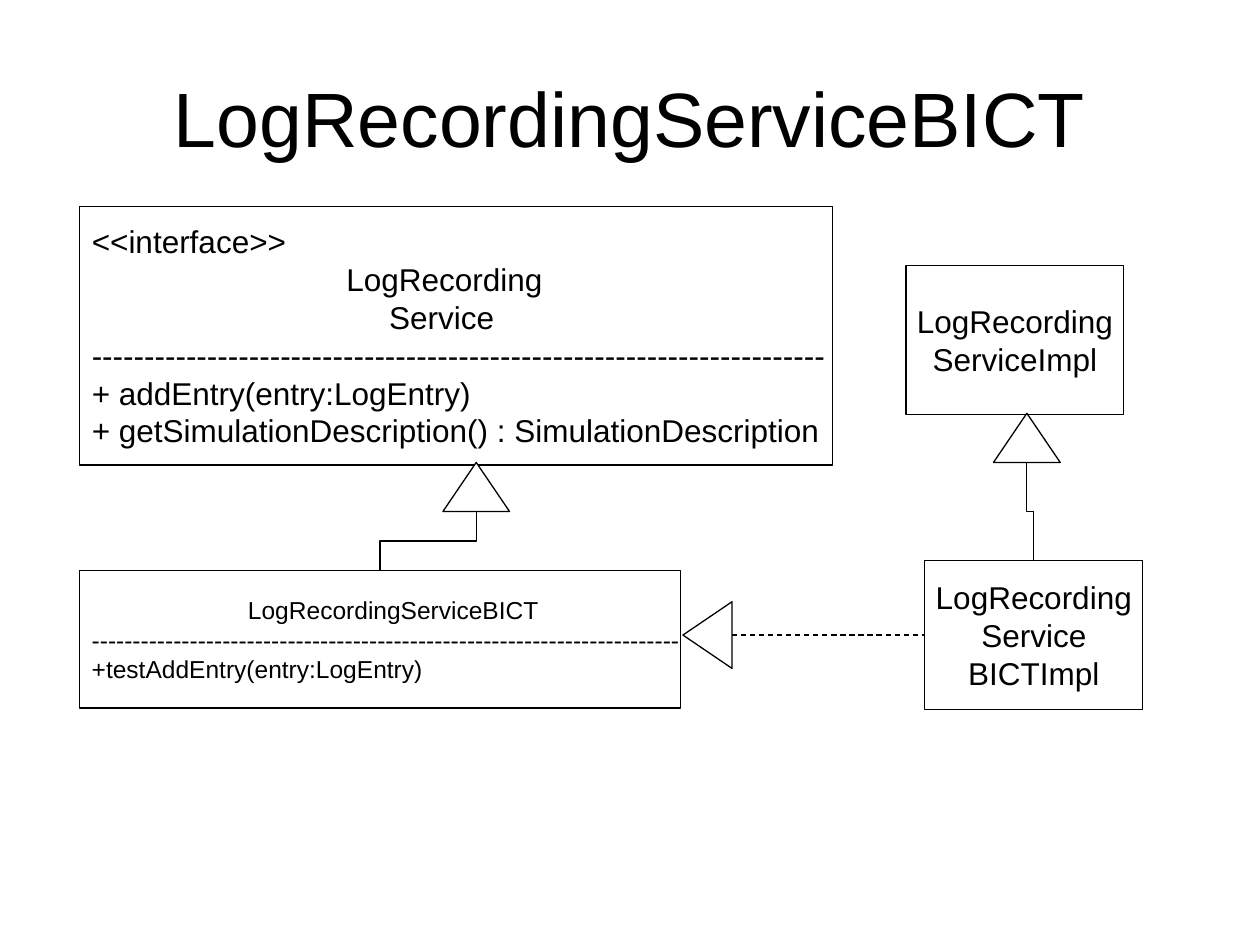
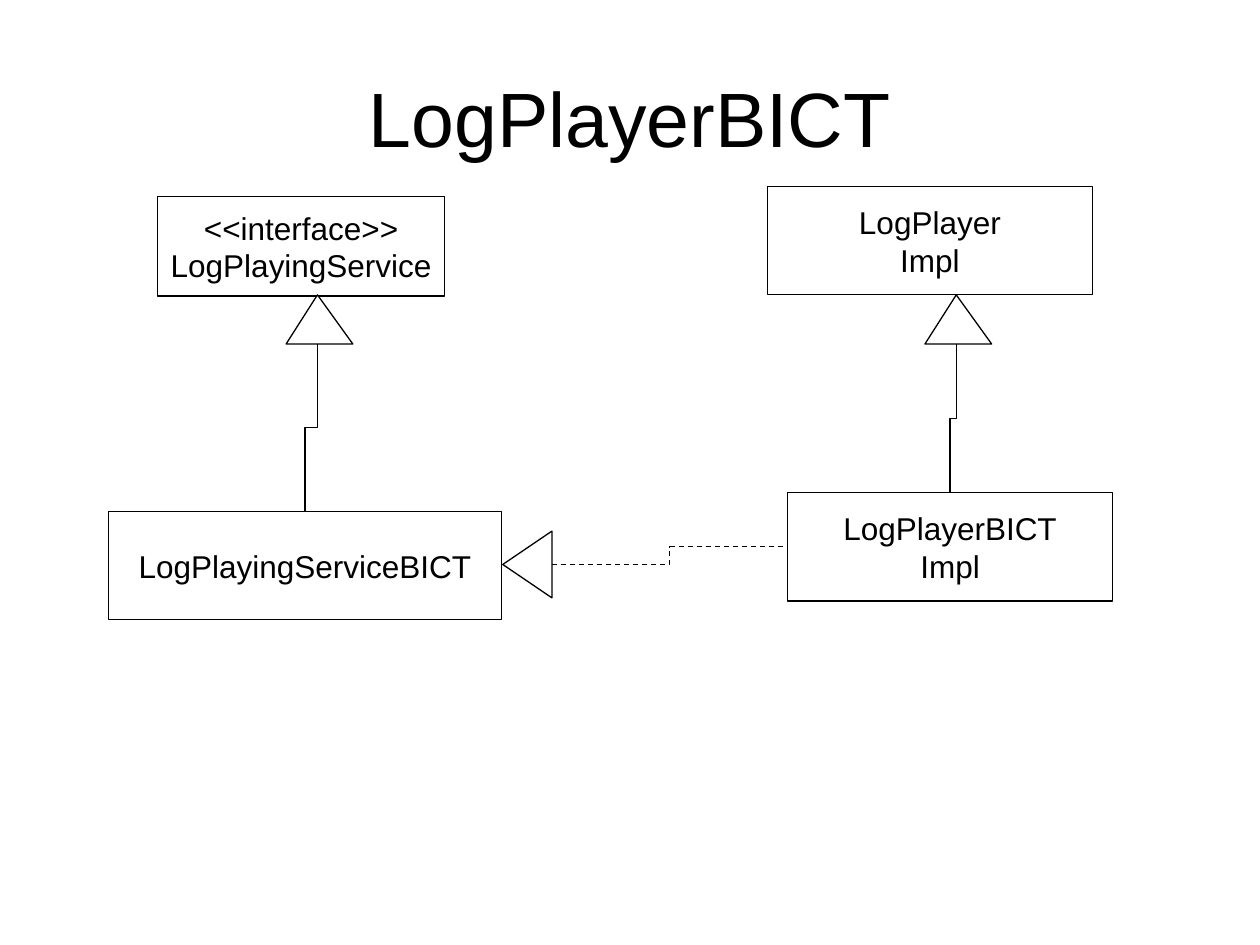
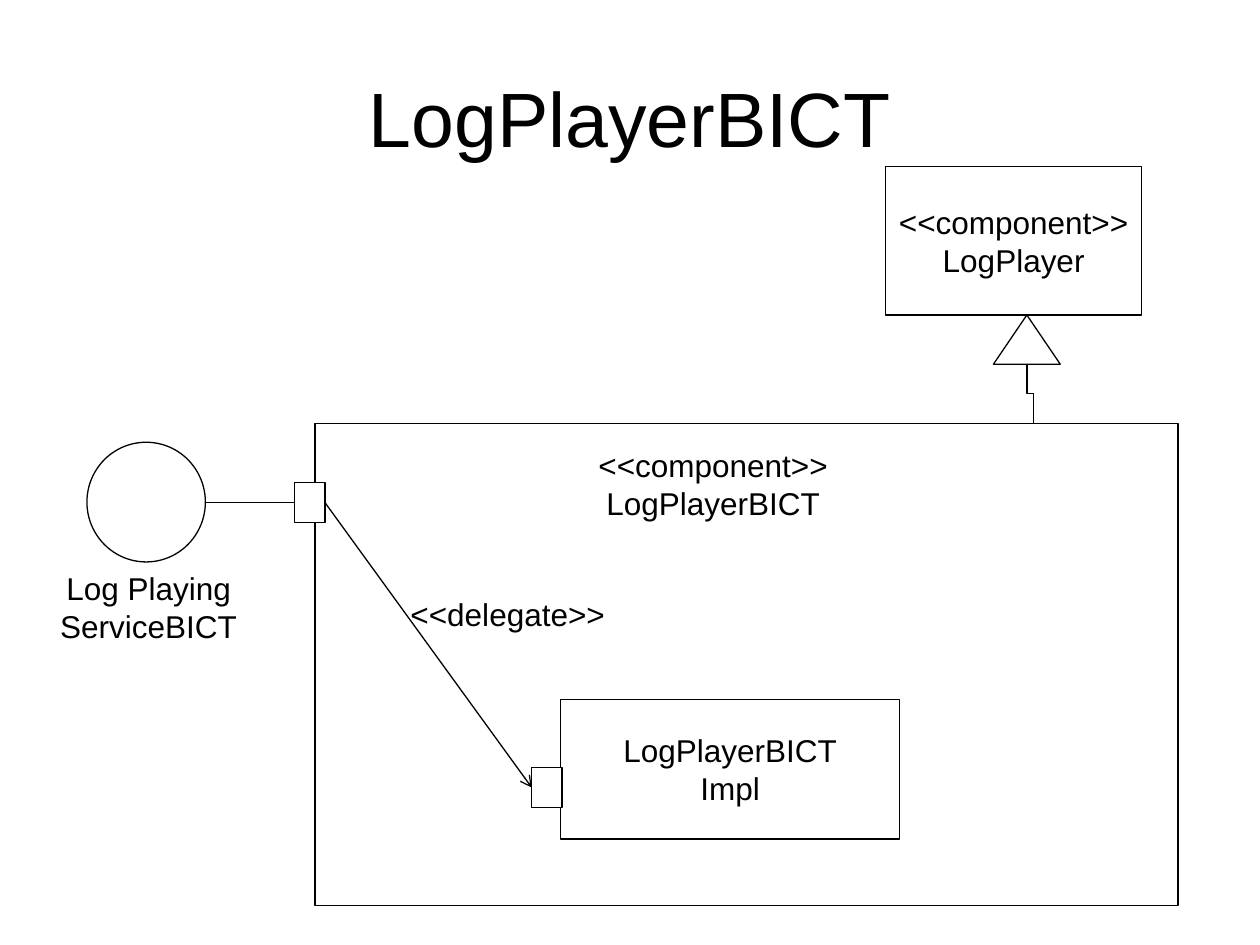
from dataclasses import dataclass
from typing import Any

from lxml import etree
from pptx import Presentation
from pptx import util as u
from pptx.dml.color import RGBColor
from pptx.enum import dml, shapes, text
from pptx.oxml.ns import qn

INK = RGBColor(0, 0, 0)
PAPER = RGBColor(255, 255, 255)
FONT = "Arial"
HAIR = u.Pt(0.75)
BASE, RISE = 0.53, 0.39
KIND = shapes.MSO_SHAPE
LINK = shapes.MSO_CONNECTOR
MID = text.PP_ALIGN.CENTER
LEFT = text.PP_ALIGN.LEFT


def write(frame, lines, size=18, align=MID, pads=None):
    for row, line in enumerate(lines):
        para = frame.paragraphs[0] if row == 0 else frame.add_paragraph()
        para.alignment = align
        if pads and row in pads:
            props = para._p.get_or_add_pPr()
            props.set("marL", str(u.Inches(pads[row])))
            props.set("indent", "0")
        run = para.add_run()
        run.text = line
        run.font.name = FONT
        run.font.size = u.Pt(size)
        run.font.color.rgb = INK


def start(deck, title):
    slide = deck.slides.add_slide(deck.slide_layouts[5])
    head = slide.shapes.title
    head.left, head.top = u.Inches(0.5), u.Inches(0.3)
    head.width, head.height = u.Inches(9), u.Inches(1.25)
    head.text_frame.vertical_anchor = text.MSO_ANCHOR.MIDDLE
    write(head.text_frame, [title], 44)
    return slide


@dataclass
class Pane:
    slide: Any
    left: float
    top: float

    def spot(self, x, y):
        return u.Inches(self.left + x), u.Inches(self.top + y)

    def shape(self, x, y, wide, high, kind=KIND.RECTANGLE):
        item = self.slide.shapes.add_shape(
            kind, *self.spot(x, y), u.Inches(wide), u.Inches(high))
        item.shadow.inherit = False
        item.fill.solid()
        item.fill.fore_color.rgb = PAPER
        item.line.color.rgb = INK
        item.line.width = HAIR
        return item

    def block(self, x, y, wide, high, lines, **style):
        item = self.shape(x, y, wide, high)
        frame = item.text_frame
        frame.word_wrap = False
        frame.vertical_anchor = text.MSO_ANCHOR.MIDDLE
        write(frame, lines, **style)
        return item

    def label(self, x, y, wide, high, lines, wrap=False):
        item = self.slide.shapes.add_textbox(
            *self.spot(x, y), u.Inches(wide), u.Inches(high))
        frame = item.text_frame
        frame.word_wrap = wrap
        frame.auto_size = text.MSO_AUTO_SIZE.SHAPE_TO_FIT_TEXT
        write(frame, lines)

    def link(self, kind, x1, y1, x2, y2):
        line = self.slide.shapes.add_connector(
            kind, *(u.Emu(int(n)) for n in (x1, y1, x2, y2)))
        etree.SubElement(line._element.spPr, qn("a:effectLst"))
        line.line.color.rgb = INK
        line.line.width = HAIR
        return line

    def rise(self, x, y, goal, peak=0.5):
        tip = self.shape(x - BASE * peak, y, BASE, RISE, KIND.ISOSCELES_TRIANGLE)
        tip.adjustments[0] = peak
        x1, y1 = self.spot(x, y + RISE)
        x2, y2 = goal
        turn = 1 if x1 > x2 else -1
        half = turn * (y2 - y1) / 2
        side = turn * (x2 - x1) / 2
        cx, cy = (x1 + x2) / 2, (y1 + y2) / 2
        line = self.link(LINK.ELBOW, cx - half, cy + side, cx + half, cy - side)
        angle = 90 if turn == 1 else 270
        line._element.spPr.find(qn("a:xfrm")).set("rot", str(angle * 60000))

    def reach(self, x, y, item, kind):
        tip = self.shape(x + (RISE - BASE) / 2, y - RISE / 2, BASE, RISE,
                         KIND.ISOSCELES_TRIANGLE)
        tip.rotation = 270
        line = self.link(kind, *self.spot(x + RISE, y),
                         item.left, item.top + item.height / 2)
        line.line.dash_style = dml.MSO_LINE.DASH
        if kind == LINK.STRAIGHT:
            line.end_connect(item, 1)


def crown(item):
    return item.left + item.width / 2, item.top


def record(pane):
    test = pane.block(0, 2.89, 4.77, 1.09, [
        "LogRecordingServiceBICT",
        "-" * 72,
        "+testAddEntry(entry:LogEntry)",
    ], size=14, align=LEFT, pads={0: 1.24})
    pane.block(0, 0, 5.98, 2.05, [
        "<<interface>>",
        "LogRecording",
        "Service",
        "-" * 70,
        "+ addEntry(entry:LogEntry)",
        "+ getSimulationDescription() : SimulationDescription",
    ], align=LEFT, pads={1: 2.02, 2: 2.36})
    child = pane.block(6.71, 2.81, 1.73, 1.18,
                       ["LogRecording", "Service", "BICTImpl"])
    pane.block(6.56, 0.47, 1.73, 1.18, ["LogRecording", "ServiceImpl"])
    pane.rise(3.15, 2.03, crown(test))
    pane.rise(7.52, 1.64, crown(child))
    pane.reach(4.79, 3.4, child, LINK.STRAIGHT)


def player(pane):
    pane.block(5.23, 0, 2.58, 0.86, ["LogPlayer", "Impl"])
    child = pane.block(5.39, 2.43, 2.58, 0.86, ["LogPlayerBICT", "Impl"])
    test = pane.block(0, 2.58, 3.12, 0.86, ["LogPlayingServiceBICT"])
    pane.block(0.39, 0.08, 2.28, 0.79, ["<<interface>>", "LogPlayingService"])
    pane.rise(1.66, 0.86, crown(test), 0.47)
    pane.rise(6.73, 0.86, crown(child), 0.47)
    pane.reach(3.13, 3, child, LINK.ELBOW)


def parts(pane):
    pane.shape(2.12, 2.04, 6.85, 3.83)
    pane.shape(0.31, 2.19, 0.94, 0.95, KIND.OVAL)
    pane.label(0, 3.15, 1.6, 0.7, ["Log Playing", "ServiceBICT"])
    outer = pane.shape(1.96, 2.51, 0.24, 0.32)
    stem = pane.link(LINK.STRAIGHT, *pane.spot(1.25, 2.67), *pane.spot(1.96, 2.67))
    stem.end_connect(outer, 1)
    pane.label(2.78, 2.17, 5, 0.7, ["<<component>>", "LogPlayerBICT"], True)
    pane.block(4.07, 4.23, 2.69, 1.11, ["LogPlayerBICT", "Impl"])
    inner = pane.shape(3.84, 4.77, 0.24, 0.32)
    arrow = pane.link(LINK.STRAIGHT, *pane.spot(2.2, 2.67), *pane.spot(3.84, 4.93))
    arrow.begin_connect(outer, 3)
    arrow.end_connect(inner, 1)
    etree.SubElement(arrow.line._get_or_add_ln(), qn("a:tailEnd"), type="arrow")
    pane.label(2.78, 3.35, 1.74, 0.4, ["<<delegate>>"])
    pane.block(6.65, 0, 2.03, 1.18, ["<<component>>", "LogPlayer"])
    pane.rise(7.77, 1.18, pane.spot(7.82, 2.04))


def main():
    deck = Presentation()
    deck.slide_width, deck.slide_height = u.Inches(10), u.Inches(7.5)
    record(Pane(start(deck, "LogRecordingServiceBICT"), 0.63, 1.64))
    player(Pane(start(deck, "LogPlayerBICT"), 0.86, 1.48))
    parts(Pane(start(deck, "LogPlayerBICT"), 0.38, 1.32))
    deck.save("out.pptx")


if __name__ == "__main__":
    main()
